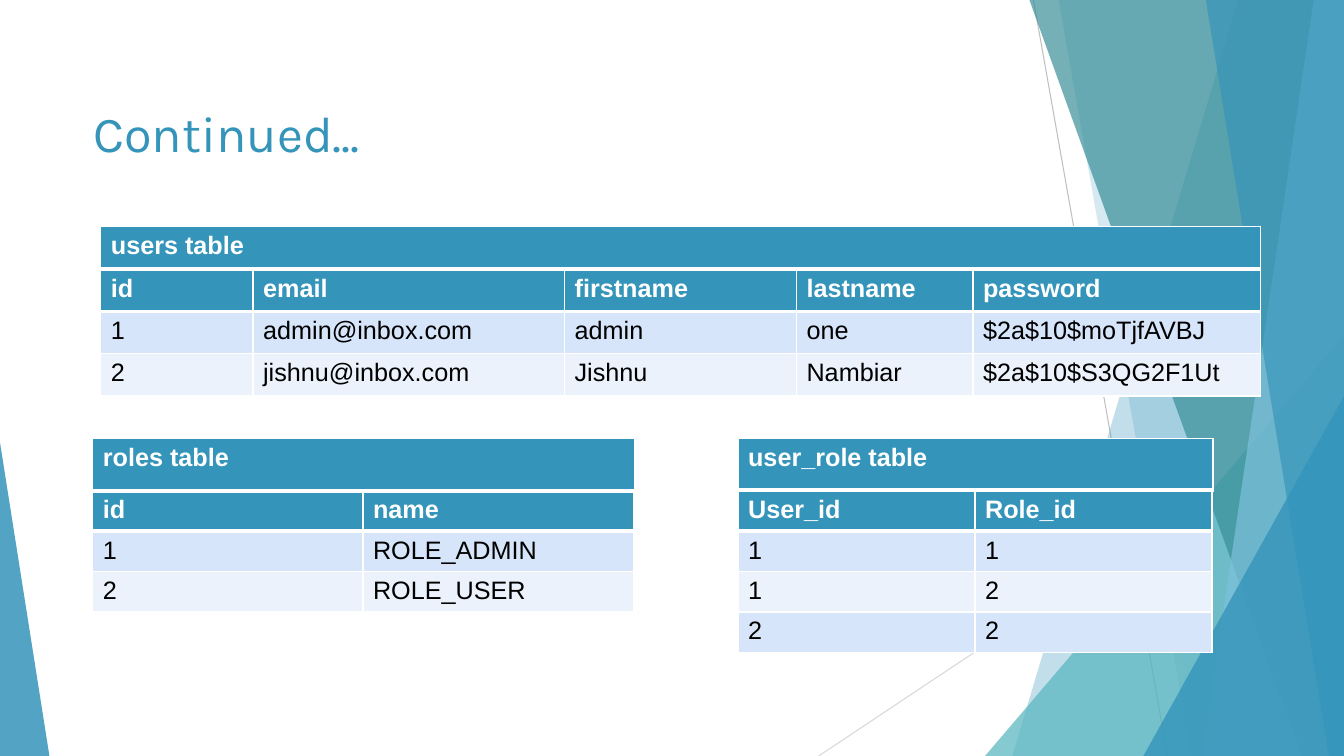
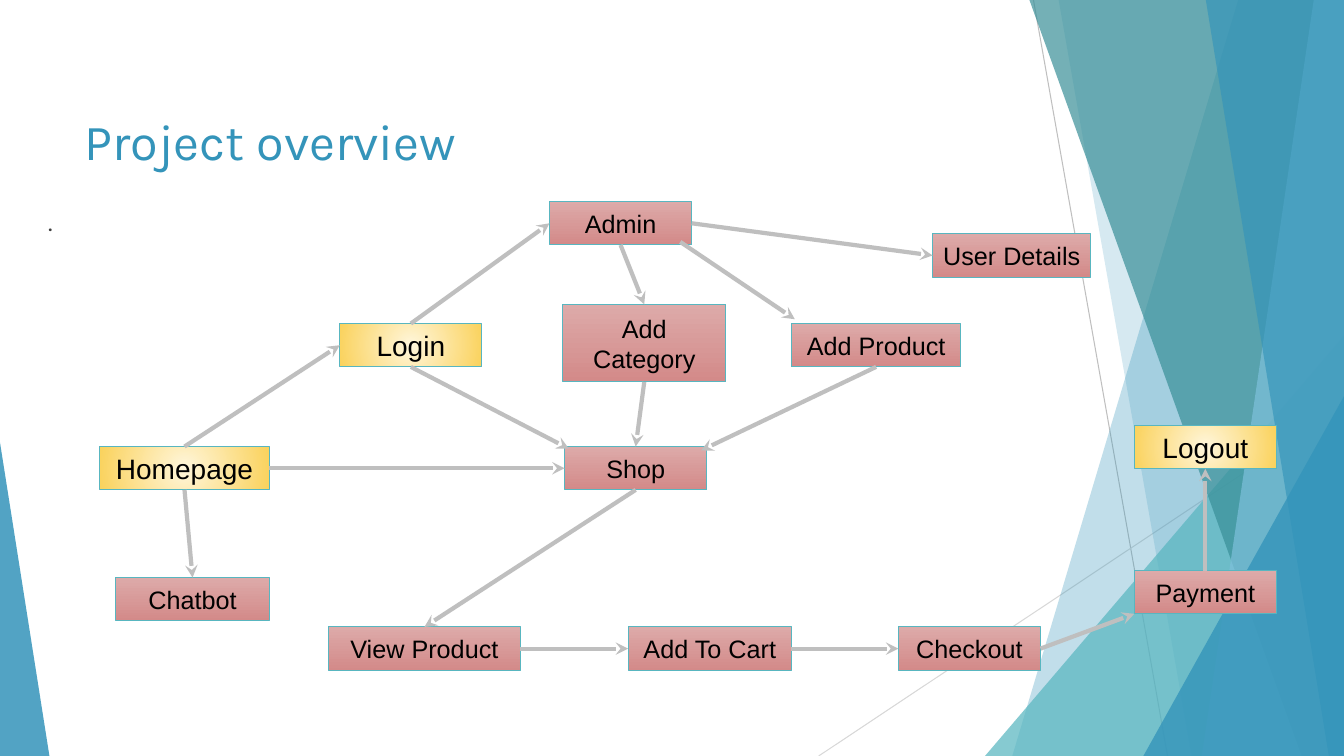
from lxml.etree import SubElement
from pptx import Presentation
from pptx.dml.color import RGBColor
from pptx.enum.shapes import MSO_CONNECTOR, MSO_SHAPE, MSO_SHAPE_TYPE
from pptx.enum.text import MSO_ANCHOR, PP_ALIGN
from pptx.oxml import parse_xml
from pptx.oxml.ns import nsdecls, qn
from pptx.util import Inches, Pt

WIDE, HIGH = 13.33, 7.5
BLUE, TEAL, DEEP, PALE = "3494BA", "58B6C0", "398F98", "7EC0DB"
WHITE, BLACK, GREY, MIST, INK = "FFFFFF", "000000", "BFBFBF", "D8D8D8", "3F3F3F"
STRIPES = ["ECF2FC", "D6E5F9"]
ROSE, GOLD = ("DDAAA9", "D38A89"), ("FFF6DB", "FAD25C")
HEAD, BODY = "Karla", "Arial"


def paint(fill, hue, alpha=100):
    """Make a fill solid in a hex colour, with opacity in percent."""
    fill.solid()
    fill.fore_color.rgb = RGBColor.from_string(hue)
    if alpha < 100:
        tone = fill._xPr.find(qn("a:solidFill"))[0]
        SubElement(tone, qn("a:alpha"), val=str(alpha * 1000))


def write(frame, words, size, hue, font=BODY, bold=False):
    """Add one run to a wrapping text frame and return its paragraph."""
    frame.word_wrap = True
    para = frame.paragraphs[0]
    run = para.add_run()
    run.text = words
    run.font.size, run.font.name, run.font.bold = Pt(size), font, bold
    paint(run.font.fill, hue)
    return para


deck = Presentation()
deck.slide_width, deck.slide_height = Inches(WIDE), Inches(HIGH)

# Shared backdrop and title
RAYS = [((10.25, 0), (11.58, HIGH), GREY), ((WIDE, 4.03), (8.12, HIGH), MIST)]
# band: top x, bottom x; rise: left, top; fall: right, top
GLASS = [
    ("band", 12.28, 10.04, BLUE, 30),
    ("band", 10.5, 11.82, BLUE, 20),
    ("rise", 9.77, 3.33, TEAL, 72),
    ("band", 10.21, 12.91, DEEP, 70),
    ("band", 13.03, 11.92, PALE, 70),
    ("band", 11.96, 13.18, BLUE, 65),
    ("rise", 11.34, 3.93, BLUE, 80),
    ("fall", 0.49, 4.39, BLUE, 85),
]
TITLES = [("Continued...", 0.83, 0.59), ("Project overview", 0.74, 0.67)]

for words, left, top in TITLES:
    slide = deck.slides.add_slide(deck.slide_layouts[6])
    shapes = slide.shapes
    for start, end, hue in RAYS:
        ray = shapes.add_connector(
            MSO_CONNECTOR.STRAIGHT, *map(Inches, start + end))
        paint(ray.line.fill, hue)
        ray.line.width = Pt(0.75)
    for kind, x, y, hue, alpha in GLASS:
        if kind == "band":
            pen = shapes.build_freeform(Inches(x), 0)
            pen.add_line_segments([
                (Inches(a), Inches(b))
                for a, b in [(WIDE, 0), (WIDE, HIGH), (y, HIGH)]])
            pane = pen.convert_to_shape()
        else:
            rise = kind == "rise"
            near, far = (x, WIDE) if rise else (0, x)
            pane = shapes.add_shape(
                MSO_SHAPE.ISOSCELES_TRIANGLE,
                *map(Inches, (near, y, far - near, HIGH - y)))
            pane.adjustments[0] = 1 if rise else 0
        paint(pane.fill, hue, alpha)
        pane.line.fill.background()
    title = shapes.add_textbox(*map(Inches, (left, top, 9.4, 1.44)))
    title.text_frame.vertical_anchor = MSO_ANCHOR.MIDDLE
    write(title.text_frame, words, 36, BLUE, HEAD)

data, flow = deck.slides

# Data tables: left, top, row height, column widths, rows
TABLES = [
    (1, 2.67, 0.42, [1.51, 3.09, 2.3, 1.75, 2.85], [
        ["id", "email", "firstname", "lastname", "password"],
        ["1", "admin@inbox.com", "admin", "one", "$2a$10$moTjfAVBJ"],
        ["2", "jishnu@inbox.com", "Jishnu", "Nambiar", "$2a$10$S3QG2F1Ut"]]),
    (7.32, 4.87, 0.4, [2.35] * 2,
     [["User_id", "Role_id"], ["1", "1"], ["1", "2"], ["2", "2"]]),
    (0.92, 4.87, 0.4, [2.68] * 2,
     [["id", "name"], ["1", "ROLE_ADMIN"], ["2", "ROLE_USER"]]),
    (1, 2.25, 0.42, [11.5], [["users table"]]),
    (0.92, 4.35, 0.52, [5.37], [["roles table"]]),
    (7.32, 4.35, 0.51, [4.71], [["user_role table"]]),
]
for left, top, step, cols, rows in TABLES:
    grid = data.shapes.add_table(
        len(rows), len(cols),
        *map(Inches, (left, top, sum(cols), step * len(rows)))).table
    grid.horz_banding = False
    for col, width in zip(grid.columns, cols):
        col.width = Inches(width)
    for i, row in enumerate(rows):
        grid.rows[i].height = Inches(step)
        for j, words in enumerate(row):
            cell = grid.cell(i, j)
            paint(cell.fill, STRIPES[i % 2] if i else BLUE)
            write(cell.text_frame, words, 18, BLACK if i else WHITE,
                  bold=i == 0)
            for k, edge in enumerate(["lnL", "lnR", "lnT", "lnB"]):
                thick = (edge, i) in [("lnB", 0), ("lnT", 1)]
                cell._tc.get_or_add_tcPr().insert(k, parse_xml(
                    f'<a:{edge} {nsdecls("a")} w="{Pt(3 if thick else 1)}">'
                    f'<a:solidFill><a:srgbClr val="{WHITE}"/></a:solidFill>'
                    f'</a:{edge}>'))

# Page flow: name, left, top, width, height, colours
note = flow.shapes.add_textbox(*map(Inches, (0.38, 2, 12.58, 5.09)))
write(note.text_frame, ".", 18, INK, HEAD)

TALL = 0.43
PAGES = [
    ("Login", 3.37, 3.21, 1.41, TALL, GOLD),
    ("Homepage", 0.99, 4.43, 1.68, TALL, GOLD),
    ("Logout", 11.25, 4.22, 1.41, TALL, GOLD),
    ("Shop", 5.6, 4.43, 1.41, TALL, ROSE),
    ("User Details", 9.25, 2.32, 1.57, TALL, ROSE),
    ("View Product", 3.26, 6.22, 1.9, TALL, ROSE),
    ("Payment", 11.25, 5.66, 1.41, TALL, ROSE),
    ("Add To Cart", 6.23, 6.22, 1.62, TALL, ROSE),
    ("Checkout", 8.91, 6.22, 1.41, TALL, ROSE),
    ("Admin", 5.45, 2, 1.41, TALL, ROSE),
    ("Add Category", 5.58, 3.02, 1.62, 0.77, ROSE),
    ("Add Product", 7.85, 3.21, 1.68, TALL, ROSE),
    ("Chatbot", 1.15, 5.73, 1.52, TALL, ROSE),
]
boxes = {}
for name, *place, hues in PAGES:
    box = boxes[name] = flow.shapes.add_shape(
        MSO_SHAPE.RECTANGLE, *map(Inches, place))
    box.fill.gradient()
    box.fill.gradient_angle = 270
    for stop, hue in zip(box.fill.gradient_stops, hues):
        stop.color.rgb = RGBColor.from_string(hue)
    if hues == GOLD:
        blend = box._element.spPr.find(qn("a:gradFill"))
        blend.replace(blend.find(qn("a:lin")), parse_xml(
            f'<a:path {nsdecls("a")} path="circle"><a:fillToRect '
            'l="50000" t="50000" r="50000" b="50000"/></a:path>'))
    paint(box.line.fill, TEAL)
    box.line.width = Pt(0.75)
    box.text_frame.vertical_anchor = MSO_ANCHOR.MIDDLE
    para = write(box.text_frame, name, 20 if hues == GOLD else 18, BLACK)
    para.alignment = PP_ALIGN.CENTER

# Arrow ends as shares of a box; the four side centres are glued
SITES = UP, LEFT, DOWN, RIGHT = (0.5, 0), (0, 0.5), (0.5, 1), (1, 0.5)
LINKS = [
    ("Homepage", UP, "Login", LEFT),
    ("Homepage", RIGHT, "Shop", LEFT),
    ("Homepage", DOWN, "Chatbot", UP),
    ("Login", UP, "Admin", LEFT),
    ("Login", DOWN, "Shop", (0.03, 0.05)),
    ("Admin", DOWN, "Add Category", UP),
    ("Admin", (0.92, 0.93), "Add Product", (0.02, -0.1)),
    ("Admin", RIGHT, "User Details", LEFT),
    ("Add Category", DOWN, "Shop", UP),
    ("Add Product", DOWN, "Shop", (0.96, 0.09)),
    ("Shop", DOWN, "View Product", UP),
    ("View Product", RIGHT, "Add To Cart", LEFT),
    ("Add To Cart", RIGHT, "Checkout", LEFT),
    ("Checkout", RIGHT, "Payment", (0, 1)),
    ("Payment", UP, "Logout", DOWN),
]
for first, leave, last, reach in LINKS:
    ends = [(boxes[first], leave), (boxes[last], reach)]
    spots = []
    for box, (x, y) in ends:
        spots += [int(box.left + x * box.width), int(box.top + y * box.height)]
    link = flow.shapes.add_connector(MSO_CONNECTOR.STRAIGHT, *spots)
    for glue, (box, side) in zip([link.begin_connect, link.end_connect], ends):
        if side in SITES:
            glue(box, SITES.index(side))
    paint(link.line.fill, GREY)
    link.line.width = Pt(3)
    SubElement(link.line._ln, qn("a:tailEnd"), type="stealth")

# No shadows anywhere
for slide in deck.slides:
    for item in slide.shapes:
        if item.shape_type == MSO_SHAPE_TYPE.LINE:
            SubElement(item._element.spPr, qn("a:effectLst"))
        elif not item.has_table:
            item.shadow.inherit = False

deck.save("out.pptx")
